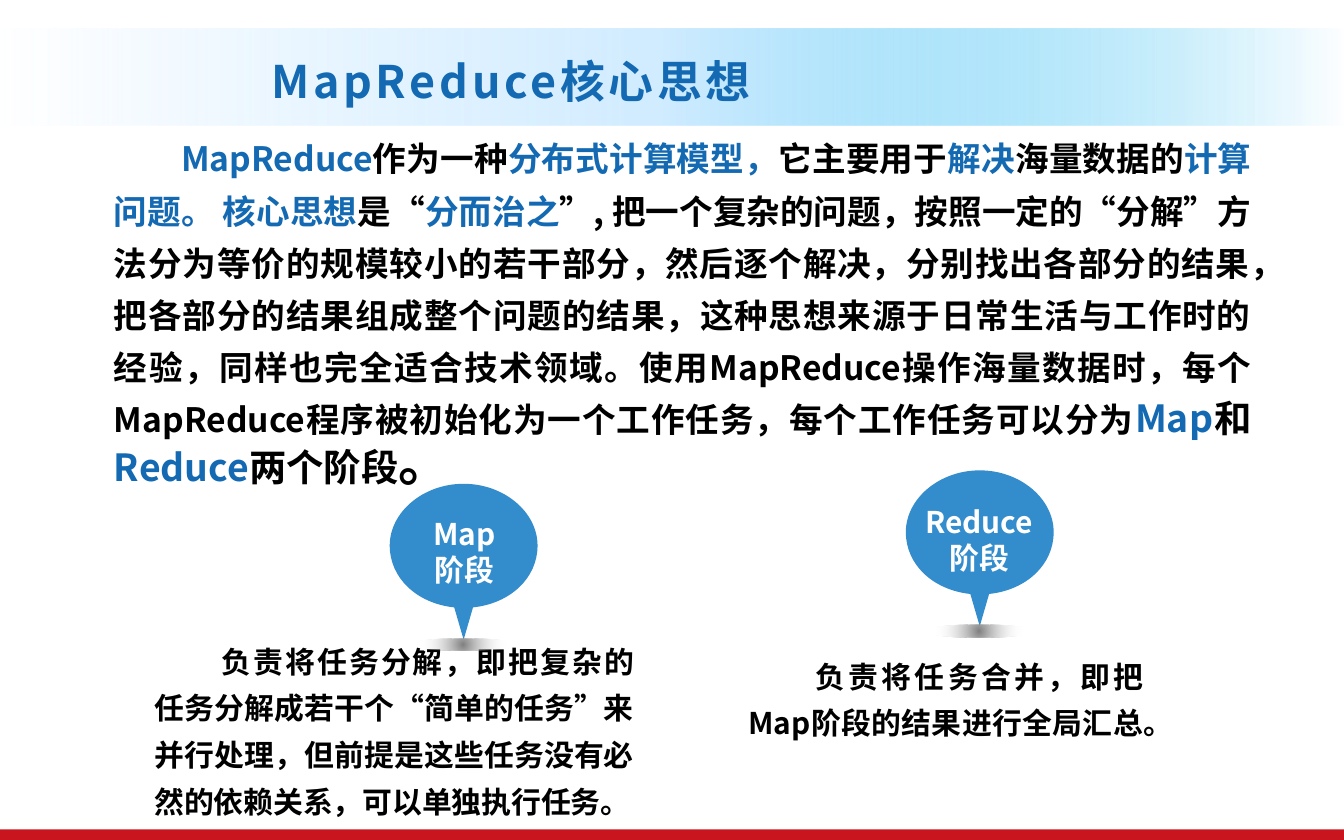
from lxml import etree
from pptx import Presentation
from pptx.dml.color import RGBColor
from pptx.enum.shapes import MSO_SHAPE
from pptx.enum.text import MSO_AUTO_SIZE, PP_ALIGN
from pptx.oxml import parse_xml
from pptx.oxml.ns import qn
from pptx.util import Inches, Pt

LEFT, CENTER, JUSTIFY = PP_ALIGN.LEFT, PP_ALIGN.CENTER, PP_ALIGN.JUSTIFY
FIT_TEXT = MSO_AUTO_SIZE.SHAPE_TO_FIT_TEXT
RECTANGLE, OVAL = MSO_SHAPE.RECTANGLE, MSO_SHAPE.OVAL
FONT = "Noto Sans CJK SC"
BLUE, BLACK, WHITE, RED, PIN_BLUE = "1369B2", "000000", "FFFFFF", "C9151E", "0070C0"
DRAWING_NS = "http://schemas.openxmlformats.org/drawingml/2006/main"


def rgb(value):
    return RGBColor.from_string(value)


def add_text(shapes, box, paragraphs, size=16, color=BLACK, align=LEFT, wrap=True,
             line_spacing=None, indent=0, tracking=0):
    """Add a bold text box; a paragraph is a list of (text, color, size), None meaning default."""
    shape = shapes.add_textbox(*map(Inches, box))
    frame = shape.text_frame
    frame.word_wrap = wrap
    frame.auto_size = FIT_TEXT
    for index, runs in enumerate(paragraphs):
        paragraph = frame.add_paragraph() if index else frame.paragraphs[0]
        paragraph.alignment = align
        paragraph.line_spacing = line_spacing
        if indent:
            paragraph._p.get_or_add_pPr().set("indent", str(Inches(indent)))
        for text, run_color, run_size in runs:
            run = paragraph.add_run()
            run.text = text
            run.font.size = Pt(run_size or size)
            run.font.bold = True
            run.font.color.rgb = rgb(run_color or color)
            run.font.name = FONT
            properties = run._r.get_or_add_rPr()
            etree.SubElement(properties, qn("a:ea")).set("typeface", FONT)
            if tracking:
                properties.set("spc", str(tracking * 100))


presentation = Presentation()
presentation.slide_width = Inches(10)
presentation.slide_height = Inches(6.25)
slide = presentation.slides.add_slide(presentation.slide_layouts[6])
shapes = slide.shapes

footer = shapes.add_shape(RECTANGLE, Inches(0), Inches(6.17), Inches(10), Inches(0.08))
footer.shadow.inherit = False
footer.fill.solid()
footer.fill.fore_color.rgb = rgb(RED)
footer.line.fill.background()

introduction = [
    ("MapReduce", BLUE, None),
    ("作为一种", None, None),
    ("分布式计算模型，", BLUE, None),
    ("它主要用于", None, None),
    ("解决", BLUE, None),
    ("海量数据的", None, None),
    ("计算问题。 核心思想", BLUE, None),
    ("是“", None, None),
    ("分而治之", BLUE, None),
    ("”, 把一个复杂的问题，按照一定的“分解”方法分为等价的规模较小的若干部分，"
     "然后逐个解决，分别找出各部分的结果，把各部分的结果组成整个问题的结果，"
     "这种思想来源于日常生活与工作时的经验，同样也完全适合技术领域。"
     "使用MapReduce操作海量数据时，每个MapReduce程序被初始化为一个工作任务，"
     "每个工作任务可以分为", None, None),
    ("Map", BLUE, 20),
    ("和", None, 20),
    ("Reduce", BLUE, 20),
    ("两个阶段", None, 20),
    ("。", None, 28),
]
add_text(shapes, (0.75, 0.89, 8.66, 2.85), [introduction], size=18, align=JUSTIFY,
         line_spacing=Pt(28), indent=0.5)

# Pin outline from its top middle, as offsets from there: one point is a line, three a curve
pin_outline = [
    [(0.3, 0), (0.55, 0.21), (0.55, 0.46)],
    [(0.55, 0.7), (0.35, 0.89), (0.07, 0.92)],
    [(0, 1.16)],
    [(-0.07, 0.92)],
    [(-0.35, 0.89), (-0.55, 0.7), (-0.55, 0.46)],
    [(-0.55, 0.21), (-0.3, 0), (0, 0)],
]

# Stage name, pin centre x, pin top, label box, description box, description
stages = [
    ("Reduce", 7.29, 3.5, (6.77, 3.7, 1.03, 0.64), (5.47, 4.77, 3.14, 1.15),
     "负责将任务合并，即把Map阶段的结果进行全局汇总。"),
    ("Map", 3.45, 3.6, (3.1, 3.79, 0.71, 0.64), (1.05, 4.66, 3.77, 1.5),
     "负责将任务分解，即把复杂的任务分解成若干个“简单的任务”来并行处理，"
     "但前提是这些任务没有必然的依赖关系，可以单独执行任务。"),
]
gradients = []
for name, center_x, top, label_box, description_box, description in stages:
    add_text(shapes, description_box, [[(description, None, None)]], align=JUSTIFY,
             line_spacing=1.3, indent=0.5)
    group = shapes.add_group_shape()

    builder = group.shapes.build_freeform(Inches(center_x), Inches(top))
    builder.add_line_segments([(Inches(center_x + segment[-1][0]), Inches(top + segment[-1][1]))
                               for segment in pin_outline], close=True)
    pin = builder.convert_to_shape()
    for line, segment in zip(list(pin._element.iter(qn("a:lnTo"))), pin_outline):
        if len(segment) == 3:
            curve = etree.Element(qn("a:cubicBezTo"))
            for x, y in segment:
                point = etree.SubElement(curve, qn("a:pt"))
                point.set("x", str(Inches(center_x + x) - pin.left))
                point.set("y", str(Inches(top + y) - pin.top))
            line.getparent().replace(line, curve)
    pin.shadow.inherit = False
    pin.fill.solid()
    pin.fill.fore_color.rgb = rgb(PIN_BLUE)
    pin.line.fill.background()
    pin_color = pin._element.spPr.find(qn("a:solidFill")).find(qn("a:srgbClr"))
    etree.SubElement(pin_color, qn("a:alpha")).set("val", "80000")

    ground = group.shapes.add_shape(OVAL, Inches(center_x - 0.4), Inches(top + 1.15),
                                    Inches(0.79), Inches(0.09))
    gradients.append((ground, [(0, "808080", 100), (80, WHITE, 0)],
                      '<a:path path="circle"><a:fillToRect l="50000" t="50000" '
                      'r="50000" b="50000"/></a:path>'))
    add_text(group.shapes, label_box, [[(name, None, None)], [("阶段", None, None)]],
             color=WHITE, align=CENTER, wrap=False)

band = shapes.add_shape(RECTANGLE, Inches(0), Inches(0.21), Inches(10), Inches(0.72))
gradients.append((band, [(0, "D1ECFF", 0), (49, "D1ECFF", 100), (100, "00B0F0", 0)],
                  '<a:lin ang="0" scaled="0"/>'))
add_text(shapes, (1.92, 0.35, 3.91, 0.5), [[("MapReduce核心思想", None, None)]],
         size=24, color=BLUE, wrap=False, tracking=2)

for shape, stops, direction in gradients:
    shape.shadow.inherit = False
    shape.line.fill.background()
    shape.fill.background()
    stop_xml = "".join(
        f'<a:gs pos="{position * 1000}"><a:srgbClr val="{color}">'
        f'<a:alpha val="{opacity * 1000}"/></a:srgbClr></a:gs>'
        for position, color, opacity in stops)
    properties = shape._element.spPr
    properties.replace(properties.find(qn("a:noFill")), parse_xml(
        f'<a:gradFill xmlns:a="{DRAWING_NS}" rotWithShape="1">'
        f'<a:gsLst>{stop_xml}</a:gsLst>{direction}</a:gradFill>'))

presentation.save("out.pptx")
